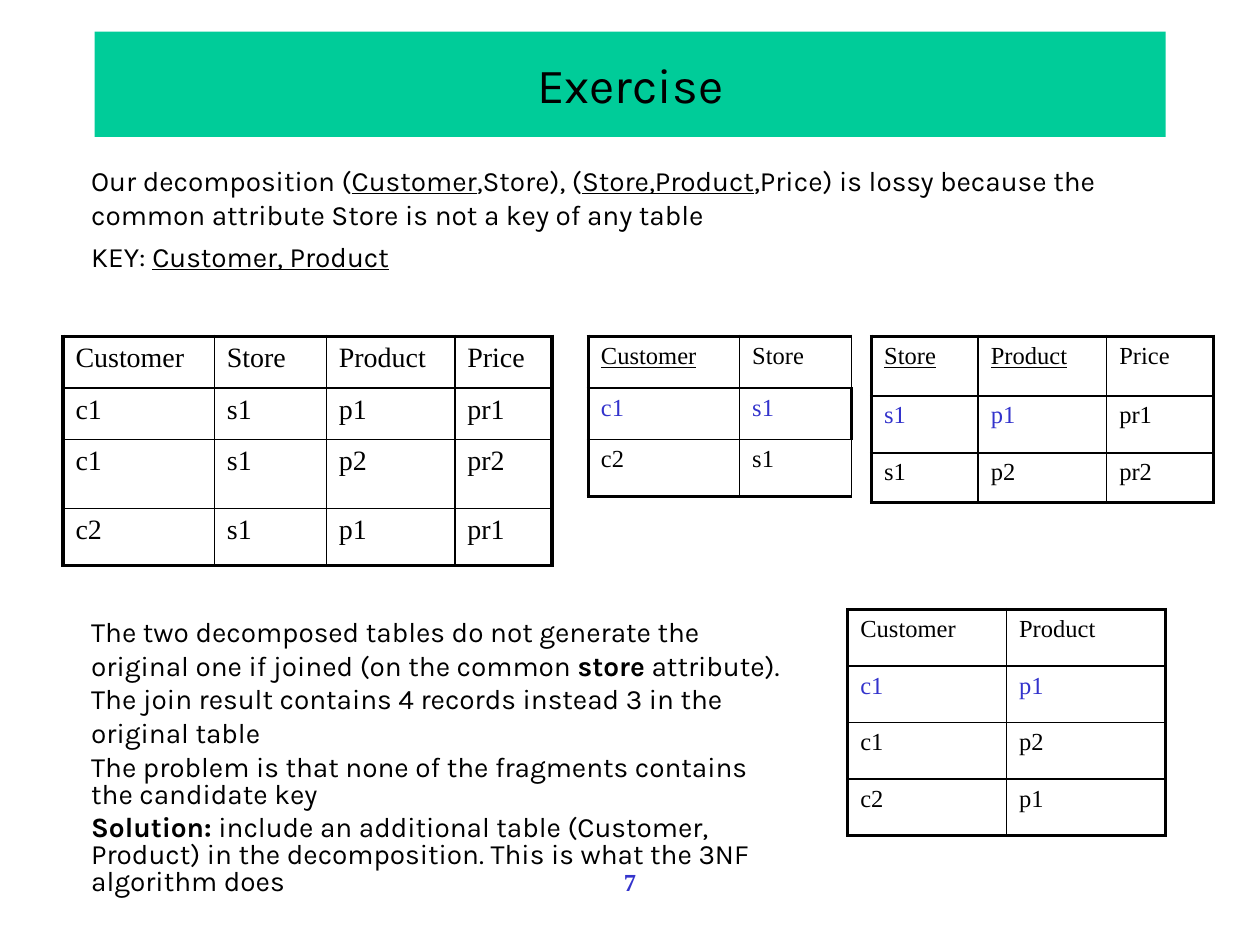
import pptx
import pptx.util
import pptx.dml.color
import pptx.enum.shapes
import pptx.enum.text
import lxml.etree
from pptx.util import Cm, Pt

BLACK = pptx.dml.color.RGBColor(0x00, 0x00, 0x00)
BLUE = pptx.dml.color.RGBColor(0x33, 0x33, 0xCC)
GREEN = pptx.dml.color.RGBColor(0x00, 0xCC, 0x99)
DRAWING = "{http://schemas.openxmlformats.org/drawingml/2006/main}"
THICK, THIN = 2.25, 1


def set_font(font, name, size, color):
    font.name, font.size = name, Pt(size)
    font.color.rgb = color


def set_border(cell, side, width):
    properties = cell._tc.get_or_add_tcPr()
    line = lxml.etree.SubElement(properties, DRAWING + side, w=str(Pt(width)))
    fill = lxml.etree.SubElement(line, DRAWING + "solidFill")
    lxml.etree.SubElement(fill, DRAWING + "srgbClr", val=str(BLACK))


presentation = pptx.Presentation()
presentation.slide_width, presentation.slide_height = Cm(25.4), Cm(19.05)
slide = presentation.slides.add_slide(presentation.slide_layouts[6])

# Title band
title = slide.shapes.add_shape(
    pptx.enum.shapes.MSO_SHAPE.RECTANGLE, Cm(1.91), Cm(0.64), Cm(21.59), Cm(2.12))
title.shadow.inherit = False
title.fill.solid()
title.fill.fore_color.rgb = GREEN
title.line.fill.background()
title.text_frame.vertical_anchor = pptx.enum.text.MSO_ANCHOR.MIDDLE
paragraph = title.text_frame.paragraphs[0]
paragraph.text = "Exercise"
paragraph.alignment = pptx.enum.text.PP_ALIGN.CENTER
set_font(paragraph.font, "Karla", 28, BLACK)

# Text blocks: place, space between paragraphs, paragraphs of (line spacing, runs)
# Each run is its text and its style: "" plain, "u" underlined, "b" bold
text_blocks = [
    ((0.64, 3.18, 23.85, 2.69), 5, [
        (1, [("Our decomposition (", ""), ("Customer", "u"), (",Store), (", ""),
             ("Store,Product", "u"),
             (",Price) is lossy because the common attribute Store"
              " is not a key of any table", "")]),
        (1, [("KEY: ", ""), ("Customer, Product", "u")]),
    ]),
    ((0.64, 12.27, 15.44, 5.51), 3.7, [
        (1, [("The two decomposed tables do not generate the original one"
              " if joined (on the common ", ""), ("store", "b"),
             (" attribute). The join result contains 4 records instead 3"
              " in the original table", "")]),
        (0.8, [("The problem is that none of the fragments contains"
                " the candidate key", "")]),
        (0.8, [("Solution:", "b"),
               (" include an additional table (Customer, Product) in the"
                " decomposition. This is what the 3NF algorithm does", "")]),
    ]),
]
for place, gap, paragraphs in text_blocks:
    frame = slide.shapes.add_textbox(*map(Cm, place)).text_frame
    frame.word_wrap = True
    for index, (line_spacing, runs) in enumerate(paragraphs):
        paragraph = frame.add_paragraph() if index else frame.paragraphs[0]
        paragraph._p.get_or_add_pPr().set("marL", str(Cm(0.95)))
        paragraph.line_spacing = line_spacing
        paragraph.space_before = Pt(gap if index else 0)
        set_font(paragraph.font, "Karla", 16, BLACK)
        for text, style in runs:
            run = paragraph.add_run()
            run.text = text
            set_font(run.font, "Karla", 16, BLACK)
            run.font.underline = style == "u"
            run.font.bold = style == "b"

# Tables: left, top, text size, column widths, row heights, underlined headers,
# blue cells in the first record, right border of each row, rows
tables = [
    (1.27, 6.78, 16, [3.05, 2.26, 2.59, 1.96], [1.04, 1.04, 1.39, 1.15], 0, 0,
     [THICK] * 4,
     ["Customer Store Product Price", "c1 s1 p1 pr1", "c1 s1 p2 pr2", "c2 s1 p1 pr1"]),
    (11.86, 6.78, 14, [3.05, 2.26], [1.04, 1.04, 1.15], 1, 2,
     [THIN, THICK, THIN],
     ["Customer Store", "c1 s1", "c2 s1"]),
    (17.57, 6.78, 14, [2.15, 2.59, 2.15], [1.2, 1.15, 1], 2, 2,
     [THICK] * 3,
     ["Store Product Price", "s1 p1 pr1", "s1 p2 pr2"]),
    (17.09, 12.29, 14, [3.2, 3.2], [1.14] * 4, 0, 2,
     [THICK] * 4,
     ["Customer Product", "c1 p1", "c1 p2", "c2 p1"]),
]
for left, top, size, widths, heights, keys, blues, right_borders, rows in tables:
    table = slide.shapes.add_table(
        len(heights), len(widths), Cm(left), Cm(top),
        Cm(sum(widths)), Cm(sum(heights))).table
    table.first_row = table.horz_banding = False
    for column, width in zip(table.columns, widths):
        column.width = Cm(width)
    for row_index, row in enumerate(rows):
        table.rows[row_index].height = Cm(heights[row_index])
        last_row = row_index == len(rows) - 1
        for column_index, text in enumerate(row.split()):
            cell = table.cell(row_index, column_index)
            last_column = column_index == len(widths) - 1
            set_border(cell, "lnL", THIN if column_index else THICK)
            set_border(cell, "lnR", right_borders[row_index] if last_column else THIN)
            set_border(cell, "lnT", THIN if row_index else THICK)
            set_border(cell, "lnB", THICK if last_row else THIN)
            cell.fill.background()
            paragraph = cell.text_frame.paragraphs[0]
            paragraph.text = text
            is_blue = row_index == 1 and column_index < blues
            set_font(paragraph.font, "Times New Roman", size, BLUE if is_blue else BLACK)
            paragraph.font.underline = row_index == 0 and column_index < keys

# Page number
frame = slide.shapes.add_textbox(Cm(1.27), Cm(17.35), Cm(22.86), Cm(1.27)).text_frame
frame.word_wrap = True
paragraph = frame.paragraphs[0]
paragraph.text = "7"
paragraph.alignment = pptx.enum.text.PP_ALIGN.CENTER
set_font(paragraph.font, "Times New Roman", 14, BLUE)
paragraph.font.bold = True

presentation.save("out.pptx")
